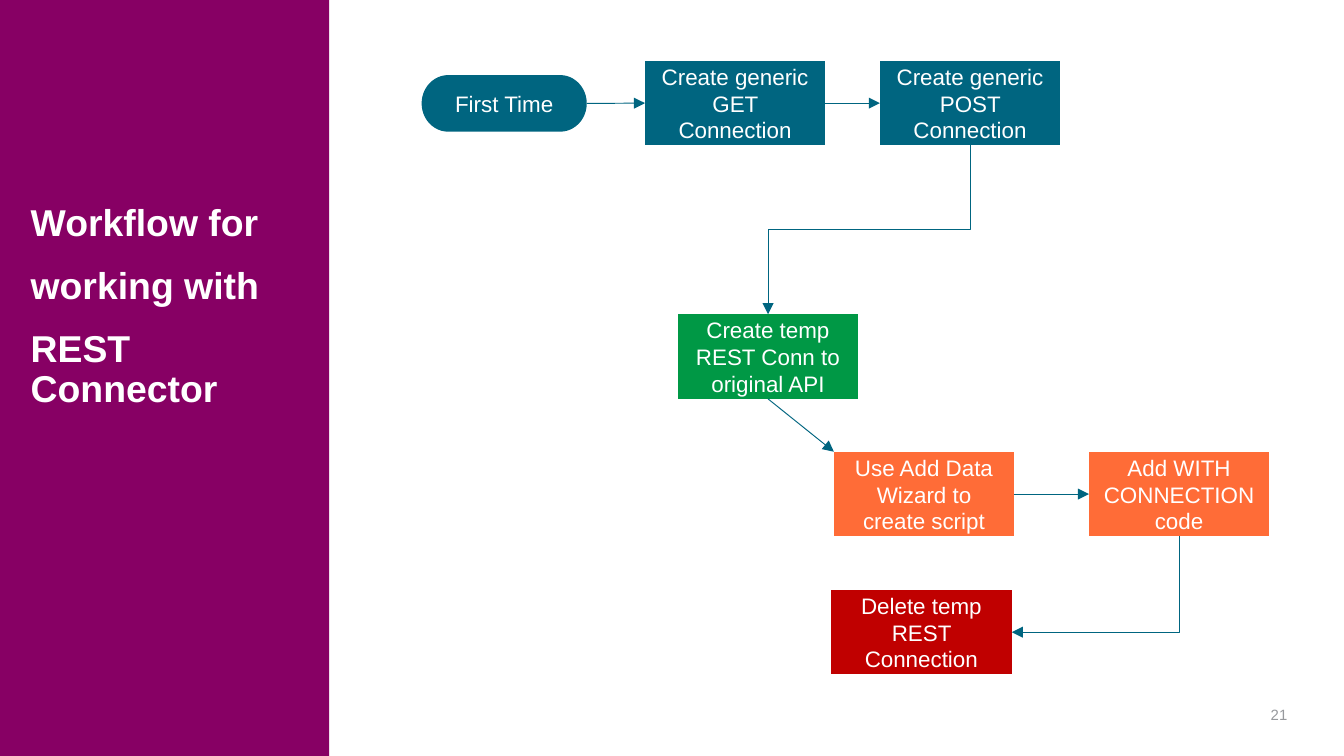
from dataclasses import dataclass

from pptx import Presentation
from pptx import util as u
from pptx.dml.color import RGBColor
from pptx.enum import shapes, text
from pptx.oxml.ns import qn
from lxml import etree


@dataclass(frozen=True)
class Theme:
    font: str = "Arial"
    white: str = "FFFFFF"
    purple: str = "870064"
    teal: str = "006580"
    green: str = "009845"
    orange: str = "FF6C37"
    red: str = "C00000"
    grey: str = "97999D"
    title_size: float = 20
    step_size: float = 12
    number_size: float = 8
    line_width: float = 0.5


class WorkflowSlide:
    """Holds the theme and the current page; all lengths are centimetres."""

    STEP_WIDTH, STEP_HEIGHT = 3.41, 1.6

    def __init__(self, page, theme):
        self.page = page
        self.theme = theme

    def format_text(self, frame, size, color, align, bold=False):
        frame.word_wrap = True
        for para in frame.paragraphs:
            para.alignment = align
            for span in para.runs:
                span.font.name = self.theme.font
                span.font.size = u.Pt(size)
                span.font.bold = bold
                span.font.color.rgb = RGBColor.from_string(color)

    def block(self, kind, left, top, width, height, color):
        box = self.page.shapes.add_shape(
            kind, u.Cm(left), u.Cm(top), u.Cm(width), u.Cm(height))
        box.shadow.inherit = False
        box.fill.solid()
        box.fill.fore_color.rgb = RGBColor.from_string(color)
        box.line.fill.background()
        return box

    def step(self, words, left, top, color, width=STEP_WIDTH, height=STEP_HEIGHT,
             kind=shapes.MSO_SHAPE.FLOWCHART_PROCESS):
        box = self.block(kind, left, top, width, height, color)
        frame = box.text_frame
        frame.text = words
        frame.vertical_anchor = text.MSO_ANCHOR.MIDDLE
        self.format_text(frame, self.theme.step_size, self.theme.white,
                         text.PP_ALIGN.CENTER)
        return box

    def label(self, words, left, top, width, height, size, color,
              align=text.PP_ALIGN.LEFT, bold=False, indent=0):
        box = self.page.shapes.add_textbox(
            u.Cm(left), u.Cm(top), u.Cm(width), u.Cm(height))
        frame = box.text_frame
        frame.text = words
        frame.margin_left, frame.margin_right = u.Cm(indent), 0
        self.format_text(frame, size, color, align, bold)
        return frame

    def arrow(self, start, end, kind=shapes.MSO_CONNECTOR.STRAIGHT):
        link = self.page.shapes.add_connector(kind, *start, *end)
        link.line.width = u.Pt(self.theme.line_width)
        link.line.color.rgb = RGBColor.from_string(self.theme.teal)
        properties = link._element.spPr
        tail = etree.SubElement(properties.find(qn("a:ln")), qn("a:tailEnd"))
        tail.set("type", "triangle")
        etree.SubElement(properties, qn("a:effectLst"))
        return link

    def elbow(self, start, end, preset):
        """Leave downwards and head left: an elbow turned by 90 degrees."""
        center_x, center_y = (start[0] + end[0]) // 2, (start[1] + end[1]) // 2
        half_width = abs(end[1] - start[1]) // 2
        half_height = abs(end[0] - start[0]) // 2
        link = self.arrow((center_x - half_width, center_y - half_height),
                          (center_x + half_width, center_y + half_height),
                          shapes.MSO_CONNECTOR.ELBOW)
        properties = link._element.spPr
        properties.find(qn("a:xfrm")).set("rot", str(90 * 60000))
        properties.find(qn("a:prstGeom")).set("prst", preset)


def anchor(box, across, down):
    """Point on a box, given as fractions of its width and height."""
    return (box.left + int(box.width * across), box.top + int(box.height * down))


LEFT, RIGHT, TOP, BOTTOM = (0, 0.5), (1, 0.5), (0.5, 0), (0.5, 1)
CORNER = (0, 0)


def main():
    deck = Presentation()
    deck.slide_width, deck.slide_height = u.Cm(25.4), u.Cm(14.29)
    theme = Theme()
    slide = WorkflowSlide(deck.slides.add_slide(deck.slide_layouts[6]), theme)

    # Side panel with title, and page number
    slide.block(shapes.MSO_SHAPE.RECTANGLE, 0, 0, 6.22, 14.29, theme.purple)
    slide.label("21", 23.85, 13.21, 0.48, 0.66, theme.number_size, theme.grey,
                text.PP_ALIGN.RIGHT)
    title = slide.label("Workflow for\nworking with\nREST Connector",
                        0.25, 0, 5.79, 11.63, theme.title_size, theme.white,
                        bold=True, indent=0.33)
    title.vertical_anchor = text.MSO_ANCHOR.MIDDLE
    for para in title.paragraphs:
        para.line_spacing = 0.9
        para.space_after = u.Pt(12)

    # Workflow steps
    first_row, script_row = 1.15, 8.54
    start = slide.step("First Time", 7.97, 1.42, theme.teal, 3.12, 1.07,
                       shapes.MSO_SHAPE.FLOWCHART_TERMINATOR)
    get = slide.step("Create generic GET Connection", 12.19, first_row, theme.teal)
    post = slide.step("Create generic POST Connection", 16.63, first_row, theme.teal)
    temp = slide.step("Create temp REST Conn to\voriginal API", 12.81, 5.94,
                      theme.green)
    wizard = slide.step("Use Add Data Wizard to create script", 15.76, script_row,
                        theme.orange)
    code = slide.step("Add WITH CONNECTION code", 20.58, script_row, theme.orange)
    delete = slide.step("Delete temp REST Connection", 15.71, 11.15, theme.red)

    # Straight arrows
    for source, leave, target, arrive in (
            (start, RIGHT, get, LEFT),
            (get, RIGHT, post, LEFT),
            (temp, BOTTOM, wizard, CORNER),
            (wizard, RIGHT, code, LEFT)):
        slide.arrow(anchor(source, *leave), anchor(target, *arrive))

    # Elbow arrows
    slide.elbow(anchor(post, *BOTTOM), anchor(temp, *TOP), "bentConnector3")
    slide.elbow(anchor(code, *BOTTOM), anchor(delete, *RIGHT), "bentConnector2")

    deck.save("out.pptx")


if __name__ == "__main__":
    main()
